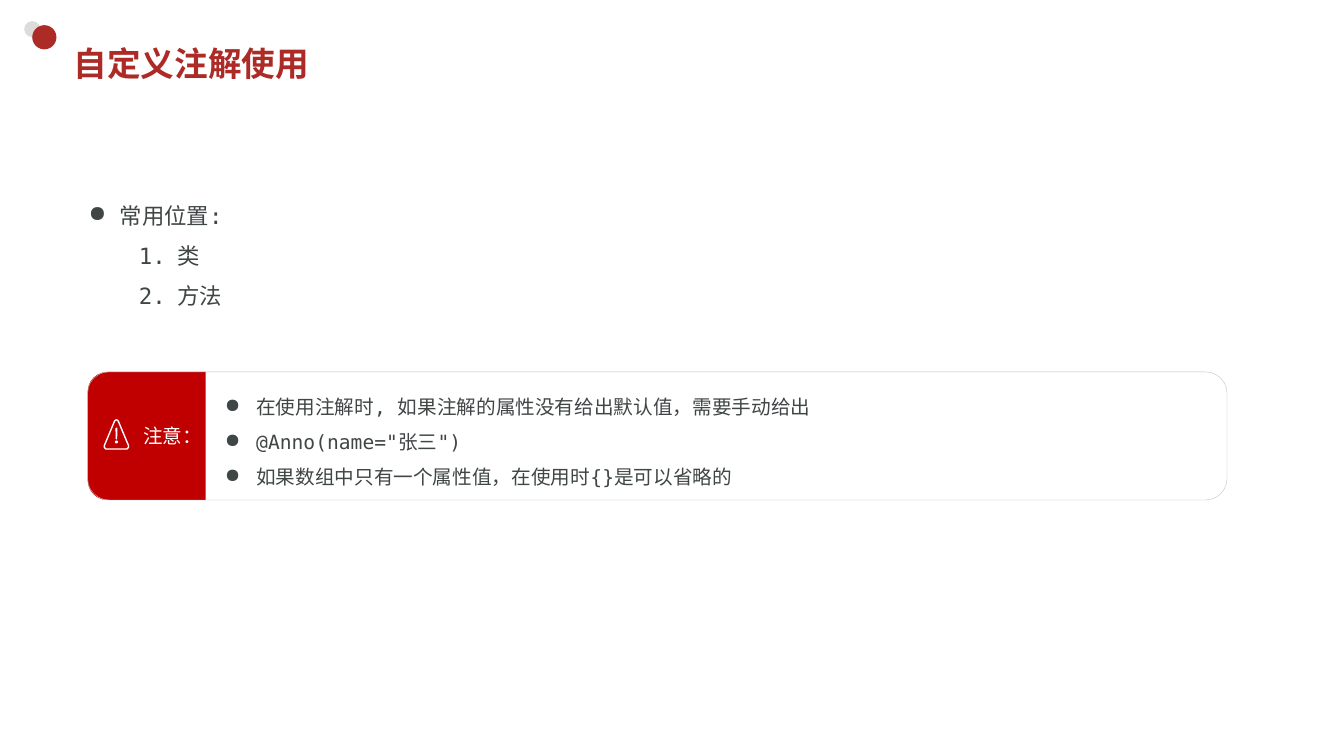
from lxml import etree
from pptx import Presentation, util as u
from pptx.dml.color import RGBColor
from pptx.enum import lang, shapes, text
from pptx.oxml.ns import qn

WIDTH, HEIGHT = 13.33, 7.5
MONO, SANS = "DejaVu Sans Mono", "Noto Sans CJK JP"
COLORS = {"brand": "AD2B26", "pale": "DADDDC", "body": "3F4645",
          "alert": "C00000", "border": "BFBFBF", "white": "FFFFFF"}
DOT = ("buChar", {"char": "●"})
NUMBER = ("buAutoNum", {"type": "arabicPeriod"})
KIND = shapes.MSO_SHAPE


def rgb(name):
    return RGBColor.from_string(COLORS[name])


def place(part, left, top, width, height):
    part.left, part.top = u.Inches(left), u.Inches(top)
    part.width, part.height = u.Inches(width), u.Inches(height)


def paint(part, fill=None, line=None, weight=0.25):
    part.shadow.inherit = False
    if fill:
        part.fill.solid()
        part.fill.fore_color.rgb = rgb(fill)
    else:
        part.fill.background()
    if line:
        part.line.color.rgb = rgb(line)
        part.line.width = u.Pt(weight)
    else:
        part.line.fill.background()
    return part


def add_shape(slide, kind, box, **look):
    return paint(slide.shapes.add_shape(kind, *map(u.Inches, box)), **look)


def write(paragraph, words, size, color="body", font=MONO, bold=False,
          bullet=None, margin=0.31, hang=0.31, level=0, spacing=None):
    paragraph.alignment = text.PP_ALIGN.LEFT
    paragraph.level = level
    if spacing:
        paragraph.line_spacing = spacing
    if bullet:
        properties = paragraph._p.get_or_add_pPr()
        properties.set("marL", str(u.Inches(margin)))
        properties.set("indent", str(-u.Inches(hang)))
        tag, attributes = bullet
        etree.SubElement(properties, qn("a:" + tag), attributes)
    run = paragraph.add_run()
    run.text = words
    run.font.size, run.font.bold = u.Pt(size), bold
    run.font.name = font
    run.font.color.rgb = rgb(color)
    run.font.language_id = lang.MSO_LANGUAGE_ID.SIMPLIFIED_CHINESE
    etree.SubElement(run._r.get_or_add_rPr(), qn("a:ea"), typeface=font)


def write_lines(frame, lines, **common):
    frame.word_wrap = True
    for index, (words, extra) in enumerate(lines):
        paragraph = frame.add_paragraph() if index else frame.paragraphs[0]
        write(paragraph, words, **{**common, **extra})


def add_text(slide, box, lines, **common):
    frame = slide.shapes.add_textbox(*map(u.Inches, box)).text_frame
    write_lines(frame, lines, **common)
    frame.auto_size = text.MSO_AUTO_SIZE.SHAPE_TO_FIT_TEXT


def add_header(slide, left, top, width, height):
    for dx, dy, size, color in ((-0.39, -0.16, 0.16, "pale"),
                                (-0.31, -0.12, 0.24, "brand")):
        add_shape(slide, KIND.OVAL, (left + dx, top + dy, size, size), fill=color)
    title = slide.shapes.title
    place(title, left, top, width, height)
    title.text_frame.vertical_anchor = text.MSO_ANCHOR.MIDDLE
    title.text_frame.auto_size = text.MSO_AUTO_SIZE.NONE
    write(title.text_frame.paragraphs[0], "自定义注解使用", 24, "brand", bold=True)


def add_positions(slide, *box):
    step = {"bullet": NUMBER, "level": 1, "margin": 0.88, "hang": 0.38}
    add_text(slide, box, [("常用位置:", {}), ("类", step), ("方法", step)],
             size=16, bullet=DOT, spacing=1.5)


def add_warning_sign(slide, left, top, width, height):
    def outline(points, **look):
        x, y = zip(*((u.Inches(left + a * width), u.Inches(top + b * height))
                     for a, b in points))
        builder = slide.shapes.build_freeform(x[0], y[0])
        builder.add_line_segments(list(zip(x, y))[1:], close=True)
        paint(builder.convert_to_shape(), **look)

    outline([(0.42, 0.07), (0.46, 0.03), (0.5, 0.02), (0.54, 0.03), (0.58, 0.07),
             (0.98, 0.87), (0.98, 0.93), (0.92, 0.98),
             (0.08, 0.98), (0.02, 0.93), (0.02, 0.87)], line="white", weight=1)
    outline([(0.46, 0.3), (0.5, 0.27), (0.54, 0.3), (0.53, 0.64),
             (0.5, 0.67), (0.47, 0.64)], fill="white")
    dot = 0.03
    add_shape(slide, KIND.OVAL, (left + (width - dot) / 2, top + 0.7 * height, dot, dot),
              fill="white")


def add_notice(slide, left, top, width, height):
    label = 1.17
    shift = (height - label) / 2
    tab = add_shape(slide, KIND.ROUND_2_SAME_RECTANGLE,
                    (left - shift, top + shift, height, label), fill="alert")
    tab.rotation = 270
    panel = add_shape(slide, KIND.ROUNDED_RECTANGLE, (left, top, width, height),
                      line="border")
    frame = panel.text_frame
    frame.margin_left = u.Inches(1.3)
    frame.vertical_anchor = text.MSO_ANCHOR.MIDDLE
    notes = ["在使用注解时, 如果注解的属性没有给出默认值，需要手动给出",
             '@Anno(name="张三")',
             "如果数组中只有一个属性值，在使用时{}是可以省略的"]
    write_lines(frame, [(note, {}) for note in notes],
                size=14, bullet=DOT, spacing=1.5)
    add_warning_sign(slide, left + 0.16, top + 0.47, 0.25, 0.3)
    add_text(slide, (left + 0.45, top + 0.47, 0.72, 0.53), [("注意：", {})],
             size=14, color="white", font=SANS)


def main():
    deck = Presentation()
    deck.slide_width, deck.slide_height = u.Inches(WIDTH), u.Inches(HEIGHT)
    slide = deck.slides.add_slide(deck.slide_layouts[5])
    add_header(slide, 0.63, 0.37, 11.74, 0.52)
    add_positions(slide, 0.78, 1.82, 3.02, 1.27)
    add_notice(slide, 0.87, 3.69, 11.3, 1.27)
    deck.save("out.pptx")


if __name__ == "__main__":
    main()
